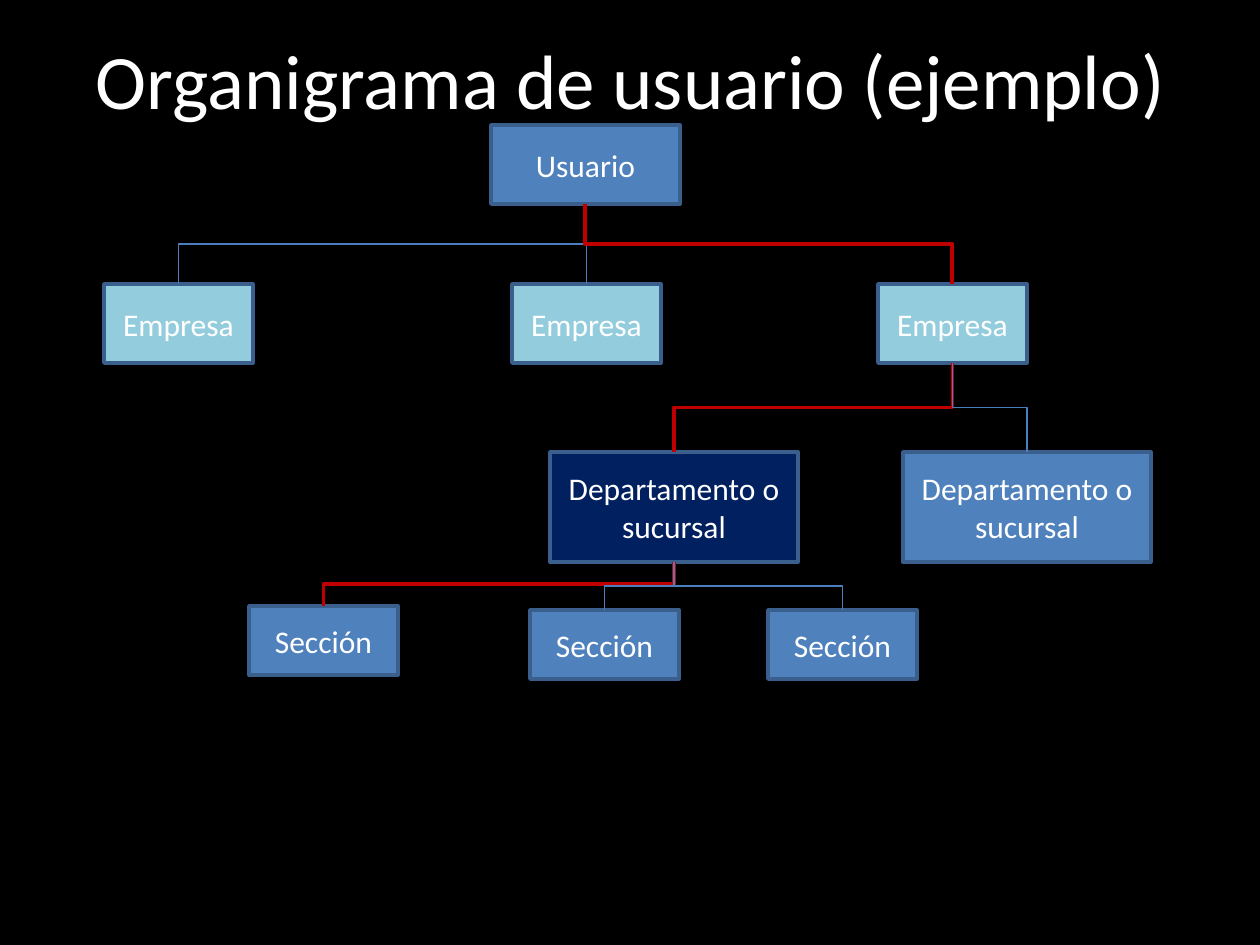
"""Build the user organisation chart slide."""
import dataclasses
import typing

import lxml.etree
import pptx
import pptx.dml.color
import pptx.enum.shapes
import pptx.enum.text
import pptx.oxml.ns
import pptx.util

PX = 914400 // 126
TOP_SITE, BOTTOM_SITE = 0, 2


@dataclasses.dataclass(frozen=True)
class Theme:
    font: str = "Calibri"
    background: str = "000000"
    text: str = "FFFFFF"
    blue: str = "4F81BD"
    aqua: str = "93CDDD"
    navy: str = "002060"
    border: str = "3A5F8C"
    link: str = "4B7EBC"
    highlight: str = "C00000"
    title_size: float = 44
    box_size: float = 18
    border_width: float = 2
    link_width: float = 0.75


THEME = Theme()


@dataclasses.dataclass(frozen=True)
class Level:
    label: str
    width: int
    height: int
    fill: str = THEME.blue


@dataclasses.dataclass(frozen=True)
class Unit:
    level: Level
    left: int
    top: int
    fill: str = ""


@dataclasses.dataclass(frozen=True)
class Link:
    parent: str
    child: str
    color: str = THEME.link
    width: float = THEME.link_width


USER = Level("Usuario", 189, 79)
COMPANY = Level("Empresa", 149, 79, THEME.aqua)
DEPARTMENT = Level("Departamento o sucursal", 248, 110)
SECTION = Level("Sección", 149, 69)

UNITS = {
    "user": Unit(USER, 491, 125),
    "company 1": Unit(COMPANY, 104, 284),
    "company 2": Unit(COMPANY, 512, 284),
    "company 3": Unit(COMPANY, 878, 284),
    "department 1": Unit(DEPARTMENT, 550, 452, THEME.navy),
    "department 2": Unit(DEPARTMENT, 903, 452),
    "section 1": Unit(SECTION, 249, 606),
    "section 2": Unit(SECTION, 530, 610),
    "section 3": Unit(SECTION, 768, 610),
}

LINKS = [
    Link("user", "company 1"),
    Link("user", "company 2"),
    Link("user", "company 3", THEME.highlight, 2.25),
    Link("company 3", "department 1", THEME.highlight, 2),
    Link("company 3", "department 2"),
    Link("department 1", "section 1", THEME.highlight, 2),
    Link("department 1", "section 2"),
    Link("department 1", "section 3"),
]


def rgb(value: str) -> pptx.dml.color.RGBColor:
    """Turn a hex string into a colour."""
    return pptx.dml.color.RGBColor.from_string(value)


def write(shape: typing.Any, text: str, *, size: float, color: str = THEME.text) -> None:
    """Put centred text into a shape."""
    frame = shape.text_frame
    frame.word_wrap = True
    frame.vertical_anchor = pptx.enum.text.MSO_ANCHOR.MIDDLE
    paragraph = frame.paragraphs[0]
    paragraph.alignment = pptx.enum.text.PP_ALIGN.CENTER
    run = paragraph.add_run()
    run.text = text
    run.font.name = THEME.font
    run.font.size = pptx.util.Pt(size)
    run.font.color.rgb = rgb(color)


def style_line(line: typing.Any, color: str, width: float) -> None:
    """Set the colour and width of a line."""
    line.color.rgb = rgb(color)
    line.width = pptx.util.Pt(width)


def draw_unit(slide: typing.Any, unit: Unit) -> typing.Any:
    """Draw one box of the chart."""
    level = unit.level
    box = slide.shapes.add_shape(
        pptx.enum.shapes.MSO_SHAPE.RECTANGLE,
        unit.left * PX, unit.top * PX, level.width * PX, level.height * PX,
    )
    box.shadow.inherit = False
    box.fill.solid()
    box.fill.fore_color.rgb = rgb(unit.fill or level.fill)
    style_line(box.line, THEME.border, THEME.border_width)
    write(box, level.label, size=THEME.box_size)
    return box


def draw_link(slide: typing.Any, link: Link, boxes: dict[str, typing.Any]) -> None:
    """Join a parent to a child with an elbow that leaves downwards."""
    parent, child = boxes[link.parent], boxes[link.child]
    start_x, start_y = parent.left + parent.width // 2, parent.top + parent.height
    end_x, end_y = child.left + child.width // 2, child.top
    drop, shift = end_y - start_y, end_x - start_x
    elbow = slide.shapes.add_connector(
        pptx.enum.shapes.MSO_CONNECTOR.ELBOW, start_x, start_y, end_x, end_y
    )
    elbow.begin_connect(parent, BOTTOM_SITE)
    elbow.end_connect(child, TOP_SITE)
    elbow.width, elbow.height = drop, abs(shift)
    elbow.left = (start_x + end_x - drop) // 2
    elbow.top = (start_y + end_y - abs(shift)) // 2
    properties = elbow._element.spPr
    turn = properties.find(pptx.oxml.ns.qn("a:xfrm"))
    turn.set("rot", str((270 if shift > 0 else 90) * 60000))
    turn.set("flipH", "1" if shift > 0 else "0")
    turn.set("flipV", "0")
    style_line(elbow.line, link.color, link.width)
    lxml.etree.SubElement(properties, pptx.oxml.ns.qn("a:effectLst"))


def build() -> None:
    """Build and save the slide."""
    deck = pptx.Presentation()
    deck.slide_width, deck.slide_height = pptx.util.Inches(10), pptx.util.Inches(7.5)
    slide = deck.slides.add_slide(deck.slide_layouts[6])
    slide.background.fill.solid()
    slide.background.fill.fore_color.rgb = rgb(THEME.background)
    title = slide.shapes.add_textbox(64 * PX, 0, 1134 * PX, 158 * PX)
    write(title, "Organigrama de usuario (ejemplo)", size=THEME.title_size)
    boxes = {key: draw_unit(slide, unit) for key, unit in UNITS.items()}
    for link in LINKS:
        draw_link(slide, link, boxes)
    deck.save("out.pptx")


build()
